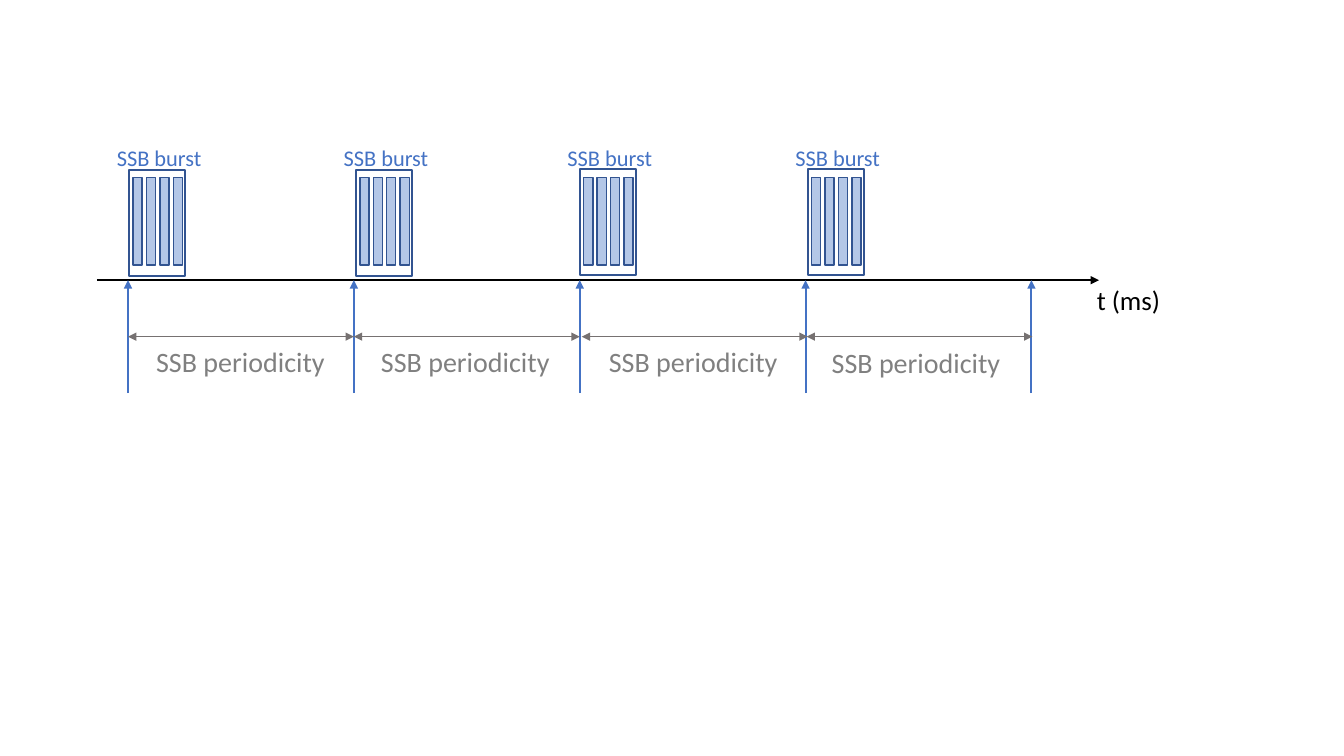
from pptx import Presentation
from pptx.dml.color import RGBColor
from pptx.enum.shapes import MSO_CONNECTOR, MSO_SHAPE
from pptx.enum.text import MSO_AUTO_SIZE
from pptx.oxml.ns import qn
from pptx.util import Inches, Pt
from lxml import etree

BLACK = RGBColor(0x00, 0x00, 0x00)
BLUE = RGBColor(0x44, 0x72, 0xC4)
DARK_BLUE = RGBColor(0x32, 0x54, 0x91)
LIGHT_BLUE = RGBColor(0xB4, 0xC7, 0xE7)
ARROW_GRAY = RGBColor(0x76, 0x71, 0x71)
TEXT_GRAY = RGBColor(0x80, 0x80, 0x80)
STRAIGHT = MSO_CONNECTOR.STRAIGHT
RECTANGLE = MSO_SHAPE.RECTANGLE
FIT_SHAPE = MSO_AUTO_SIZE.SHAPE_TO_FIT_TEXT

AXIS_Y = 2.78
SPAN_Y = 3.34
PERIOD = 2.24
FIRST_TICK = 1.27

prs = Presentation()
prs.slide_width = Inches(13.33)
prs.slide_height = Inches(7.5)
slide = prs.slides.add_slide(prs.slide_layouts[6])


def add_text(text, left, top, width, height, size, color, wrap=False):
    box = slide.shapes.add_textbox(Inches(left), Inches(top), Inches(width), Inches(height))
    frame = box.text_frame
    frame.word_wrap = wrap
    frame.auto_size = FIT_SHAPE
    run = frame.paragraphs[0].add_run()
    run.text = text
    run.font.name = "Calibri"
    run.font.size = Pt(size)
    run.font.color.rgb = color


def add_arrow(x1, y1, x2, y2, color, weight, ends=("tailEnd",)):
    arrow = slide.shapes.add_connector(STRAIGHT, Inches(x1), Inches(y1), Inches(x2), Inches(y2))
    arrow.line.color.rgb = color
    arrow.line.width = Pt(weight)
    for end in ends:
        etree.SubElement(arrow.get_or_add_ln(), qn("a:" + end), type="triangle")
    etree.SubElement(arrow.element.spPr, qn("a:effectLst"))


add_arrow(0.96, AXIS_Y, 10.9, AXIS_Y, BLACK, 1.5)
add_text("t (ms)", 10.78, 2.76, 0.84, 0.42, 19.2, BLACK)

for tick in range(5):
    tick_x = FIRST_TICK + tick * PERIOD
    add_arrow(tick_x, 3.9, tick_x, AXIS_Y, BLUE, 1.5)

for span_start, label_left, label_top in [
    (1.27, 1.45, 3.37),
    (3.51, 3.68, 3.37),
    (5.77, 5.94, 3.37),
    (8.0, 8.15, 3.38),
]:
    add_arrow(span_start, SPAN_Y, span_start + PERIOD, SPAN_Y, ARROW_GRAY, 1, ("headEnd", "tailEnd"))
    add_text("SSB periodicity", label_left, label_top, 1.89, 0.44, 20, TEXT_GRAY)

for burst_left, burst_top in [(1.28, 1.69), (3.53, 1.69), (5.75, 1.68), (8.01, 1.68)]:
    burst = slide.shapes.add_shape(
        RECTANGLE, Inches(burst_left), Inches(burst_top), Inches(0.56), Inches(1.05))
    burst.shadow.inherit = False
    burst.fill.background()
    burst.line.color.rgb = DARK_BLUE
    burst.line.width = Pt(1.5)
    for block in range(4):
        ssb = slide.shapes.add_shape(
            RECTANGLE, Inches(burst_left + 0.04 + block * 0.133), Inches(1.76), Inches(0.09), Inches(0.87))
        ssb.shadow.inherit = False
        ssb.fill.solid()
        ssb.fill.fore_color.rgb = LIGHT_BLUE
        ssb.line.color.rgb = DARK_BLUE
        ssb.line.width = Pt(1)
    add_text("SSB burst", burst_left - 0.22, 1.38, 1.05, 0.37, 16, BLUE, wrap=True)

prs.save("out.pptx")
